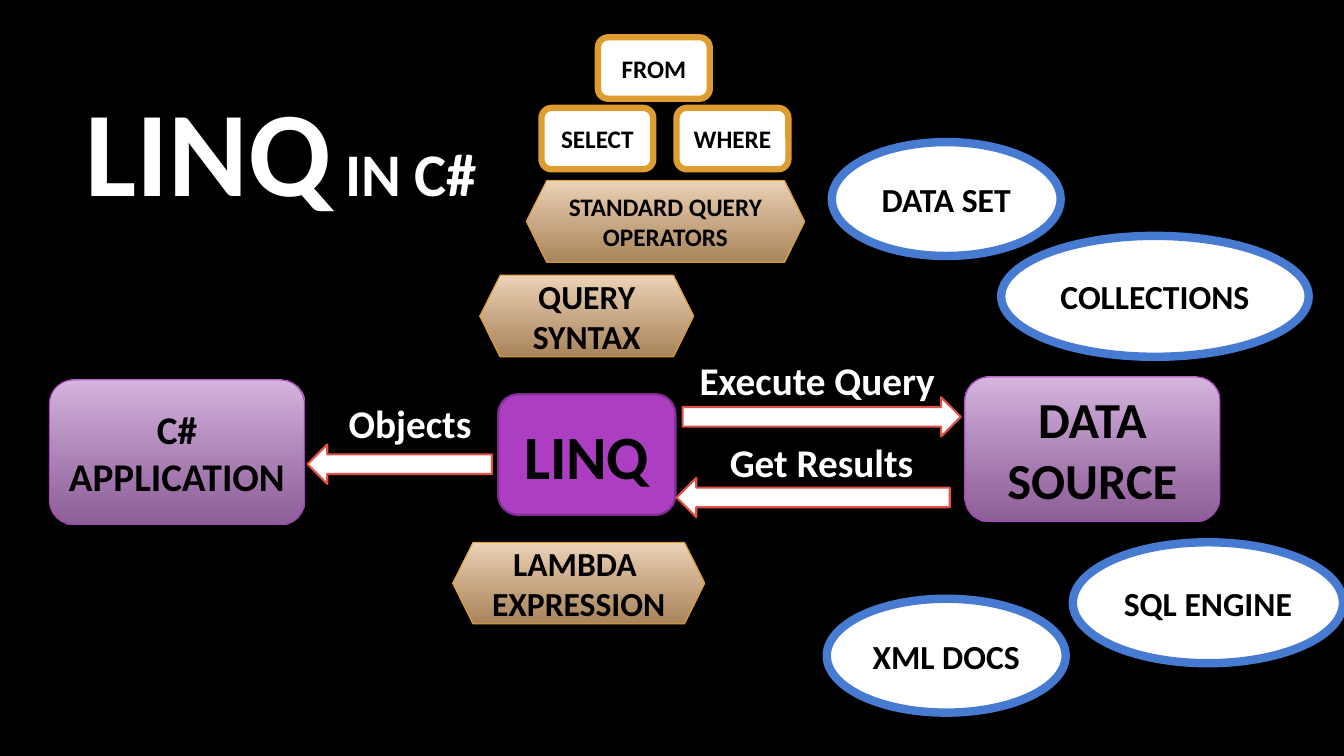
from dataclasses import dataclass

from lxml.etree import SubElement
from pptx import Presentation
from pptx.dml.color import RGBColor as Rgb
from pptx.enum.shapes import MSO_SHAPE as Preset
from pptx.enum.text import MSO_ANCHOR as Anchor, MSO_AUTO_SIZE as AutoSize, PP_ALIGN as Align
from pptx.oxml.ns import qn
from pptx.util import Inches, Pt

CELL = 0.1  # side of a grid cell in inches: columns run right, rows run down


@dataclass(frozen=True)
class Look:
    """Fill (one colour or a two-colour gradient), outline and its width."""
    fill: tuple
    line: str
    width: float


@dataclass(frozen=True)
class Theme:
    """Colours, type sizes and looks of the slide."""
    font: str = "Calibri"
    back: str = "000000"
    light: str = "FFFFFF"
    dark: str = "000000"
    title: float = 86.4
    subtitle: float = 43.2
    core: float = 44
    source: float = 36
    label: float = 28
    body: float = 24
    small: float = 18
    fade: int = 74  # opacity in percent at the lower end of a gradient
    endpoint: Look = Look(("D8B7E1", "BF82CE"), "AC3EC1", 0.75)
    notation: Look = Look(("EFD5BA", "E4B47E"), "DD9D31", 0.75)
    provider: Look = Look(("FFFFFF",), "477BD1", 6)
    engine: Look = Look(("AC3EC1",), "7F2E8F", 1.5)
    flow: Look = Look(("FFFFFF",), "E25247", 1.5)
    keyword: Look = Look(("FFFFFF",), "DD9D31", 4.5)


def assign(target, values):
    """Set each attribute of target from a dict."""
    for name, value in values.items():
        setattr(target, name, value)


class Canvas:
    """Holds the theme and the current slide, and draws on its grid."""

    def __init__(self, slide, theme):
        """Keep slide and theme, and paint the background."""
        self.slide, self.theme = slide, theme
        slide.background.fill.solid()
        slide.background.fill.fore_color.rgb = Rgb.from_string(theme.back)

    def place(self, cells):
        """Turn column, row, width and height into lengths."""
        return [Inches(cell * CELL) for cell in cells]

    def add_words(self, paragraph, words, size, color):
        """Add a bold run to a paragraph."""
        run = paragraph.add_run()
        run.text = words
        assign(run.font, {"name": self.theme.font, "size": Pt(size), "bold": True})
        run.font.color.rgb = Rgb.from_string(color)

    def paint(self, shape, look):
        """Give a shape its fill and outline, without a shadow."""
        shape.shadow.inherit = False
        if len(look.fill) == 1:
            shape.fill.solid()
            shape.fill.fore_color.rgb = Rgb.from_string(look.fill[0])
        else:
            shape.fill.gradient()
            shape.fill.gradient_angle = 270
            for stop, color, position in zip(shape.fill.gradient_stops, look.fill, (0, 1)):
                stop.color.rgb = Rgb.from_string(color)
                stop.position = position
            lower_end = shape._element.spPr.findall(".//" + qn("a:srgbClr"))[-1]
            SubElement(lower_end, qn("a:alpha"), val=str(self.theme.fade * 1000))
        shape.line.color.rgb = Rgb.from_string(look.line)
        shape.line.width = Pt(look.width)

    def node(self, preset, cells, look, lines, size):
        """Draw a shape with centred text, one paragraph for each line."""
        shape = self.slide.shapes.add_shape(preset, *self.place(cells))
        self.paint(shape, look)
        frame = shape.text_frame
        assign(frame, {"word_wrap": True, "vertical_anchor": Anchor.MIDDLE})
        for index, line in enumerate(lines):
            paragraph = frame.add_paragraph() if index else frame.paragraphs[0]
            paragraph.alignment = Align.CENTER
            self.add_words(paragraph, line, size, self.theme.dark)

    def arrow(self, cells, turn):
        """Draw a block arrow, turned by some degrees."""
        shape = self.slide.shapes.add_shape(Preset.RIGHT_ARROW, *self.place(cells))
        self.paint(shape, self.theme.flow)
        shape.rotation = turn

    def text(self, cells, runs, **frame_format):
        """Set one line made of (words, size) runs."""
        frame = self.slide.shapes.add_textbox(*self.place(cells)).text_frame
        assign(frame, frame_format)
        for words, size in runs:
            self.add_words(frame.paragraphs[0], words, size, self.theme.light)


def build():
    """Build the slide and save it."""
    deck = Presentation()
    assign(deck, {"slide_width": Inches(13.33), "slide_height": Inches(7.5)})
    theme = Theme()
    canvas = Canvas(deck.slides.add_slide(deck.slide_layouts[6]), theme)

    canvas.text((7.5, 6.7, 110.8, 15.9), [("LINQ", theme.title), (" IN C#", theme.subtitle)],
                word_wrap=True, vertical_anchor=Anchor.MIDDLE)

    endpoints = [("DATA SOURCE", 95.7, 37.4, theme.source),
                 ("C# APPLICATION", 4.9, 37.7, theme.label)]
    for name, column, row, size in endpoints:
        canvas.node(Preset.ROUNDED_RECTANGLE, (column, row, 25.3, 14.3),
                    theme.endpoint, [name], size)

    providers = [("COLLECTIONS", (99.3, 23.4, 30.5, 12)),
                 ("DATA SET", (82.5, 14.1, 22.7, 11.3)),
                 ("XML DOCS", (82, 59.4, 23.7, 11.3)),
                 ("SQL ENGINE", (106.4, 53.8, 26.8, 12))]
    for name, cells in providers:
        canvas.node(Preset.OVAL, cells, theme.provider, [name], theme.body)

    canvas.node(Preset.FLOWCHART_ALTERNATE_PROCESS, (49.4, 39.1, 17.6, 12),
                theme.engine, ["LINQ"], theme.core)

    flows = [("Execute Query", (67.7, 39.4, 27.6), 0, (68.4, 34.9, 25.6)),
             ("Get Results", (67.1, 47.4, 27.1), 180, (71.4, 43, 20.4)),
             ("Objects", (30.5, 44.1, 18.3), 180, (33.6, 39.1, 14.3))]
    for name, arrow_cells, turn, label_cells in flows:
        canvas.arrow((*arrow_cells, 3.9), turn)
        canvas.text((*label_cells, 5.7), [(name, theme.label)],
                    word_wrap=False, auto_size=AutoSize.SHAPE_TO_FIT_TEXT)

    notations = [(["QUERY SYNTAX"], 47.6, 27.3, 21.2, theme.body),
                 (["STANDARD QUERY", "OPERATORS"], 52.2, 17.9, 27.6, theme.small),
                 (["LAMBDA ", "EXPRESSION"], 44.9, 53.8, 25, theme.body)]
    for lines, column, row, width, size in notations:
        canvas.node(Preset.HEXAGON, (column, row, width, 8.1), theme.notation, lines, size)

    for name, column, row in [("SELECT", 53.7, 10.7), ("WHERE", 67.1, 10.7), ("FROM", 59.3, 3.7)]:
        canvas.node(Preset.FLOWCHART_ALTERNATE_PROCESS, (column, row, 11.1, 6.1),
                    theme.keyword, [name], theme.small)

    deck.save("out.pptx")


build()
